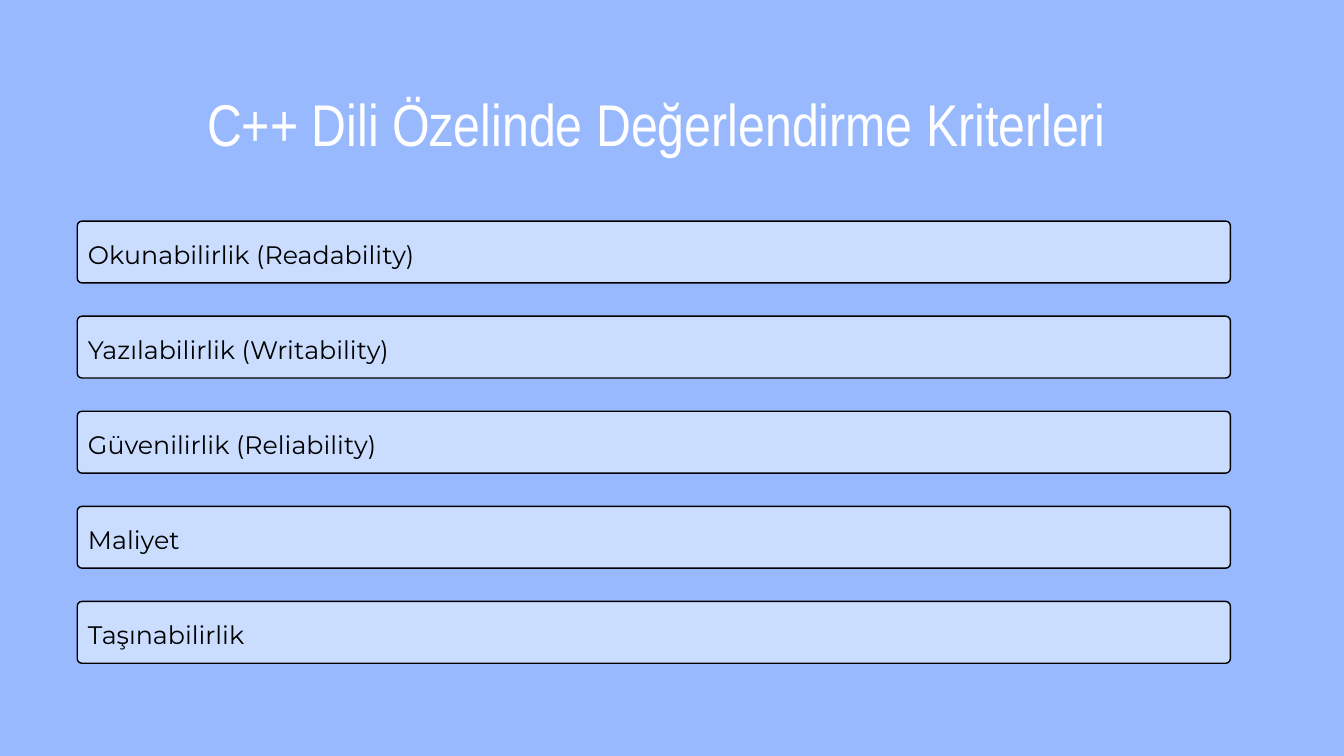
from pptx import Presentation
from pptx.dml.color import RGBColor
from pptx.enum.shapes import MSO_SHAPE
from pptx.enum.text import PP_ALIGN
from pptx.util import Inches, Pt

ROUNDED = MSO_SHAPE.ROUNDED_RECTANGLE
LEFT, CENTER = PP_ALIGN.LEFT, PP_ALIGN.CENTER

BACKGROUND = RGBColor(0x99, 0xB9, 0xFF)
BAR_FILL = RGBColor(0xCA, 0xDD, 0xFF)
BLACK = RGBColor(0, 0, 0)
WHITE = RGBColor(0xFF, 0xFF, 0xFF)

TITLE = "C++ Dili Özelinde Değerlendirme Kriterleri"
CRITERIA = [
    "Okunabilirlik (Readability)",
    "Yazılabilirlik (Writability)",
    "Güvenilirlik (Reliability)",
    "Maliyet",
    "Taşınabilirlik",
]
BAR_HEIGHT = 0.92
CORNER_RADIUS = 0.07


def add_text(s, box, text, font, line_spacing, align):
    tf = s.shapes.add_textbox(*map(Inches, box)).text_frame
    tf.word_wrap = True
    tf.margin_left = tf.margin_top = tf.margin_right = tf.margin_bottom = 0
    p = tf.paragraphs[0]
    p.alignment = align
    p.line_spacing = Pt(line_spacing)
    r = p.add_run()
    r.text = text
    color = font["color"]
    r.font.color.rgb = color
    for name in ("name", "size"):
        setattr(r.font, name, font[name])


def add_title(s, box):
    font = {"name": "Arial Narrow", "size": Pt(63.1), "color": WHITE}
    add_text(s, box, TITLE, font, 63.8, CENTER)


def add_criterion(s, box, text):
    left, top, width, height = box
    bar = s.shapes.add_shape(ROUNDED, *map(Inches, box))
    bar.adjustments[0] = CORNER_RADIUS / height
    bar.shadow.inherit = False
    bar.fill.solid()
    bar.fill.fore_color.rgb = BAR_FILL
    bar.line.color.rgb = BLACK
    bar.line.width = Pt(1.5)
    font = {"name": "Montserrat", "size": Pt(27.1), "color": BLACK}
    add_text(s, (left + 0.16, top + 0.19, 9.77, 0.5), text, font, 38, LEFT)


def add_criteria(s, box):
    """Spread the bars evenly from the top to the bottom of the box."""
    left, top, width, height = box
    pitch = (height - BAR_HEIGHT) / (len(CRITERIA) - 1)
    for i, text in enumerate(CRITERIA):
        add_criterion(s, (left, top + i * pitch, width, BAR_HEIGHT), text)


def main():
    prs = Presentation()
    prs.slide_width, prs.slide_height = Inches(20), Inches(11.25)
    s = prs.slides.add_slide(prs.slide_layouts[6])
    s.background.fill.solid()
    s.background.fill.fore_color.rgb = BACKGROUND
    add_title(s, (1.58, 1.47, 16.39, 0.95))
    add_criteria(s, (1.15, 3.29, 17.16, 6.58))
    prs.save("out.pptx")


if __name__ == "__main__":
    main()
